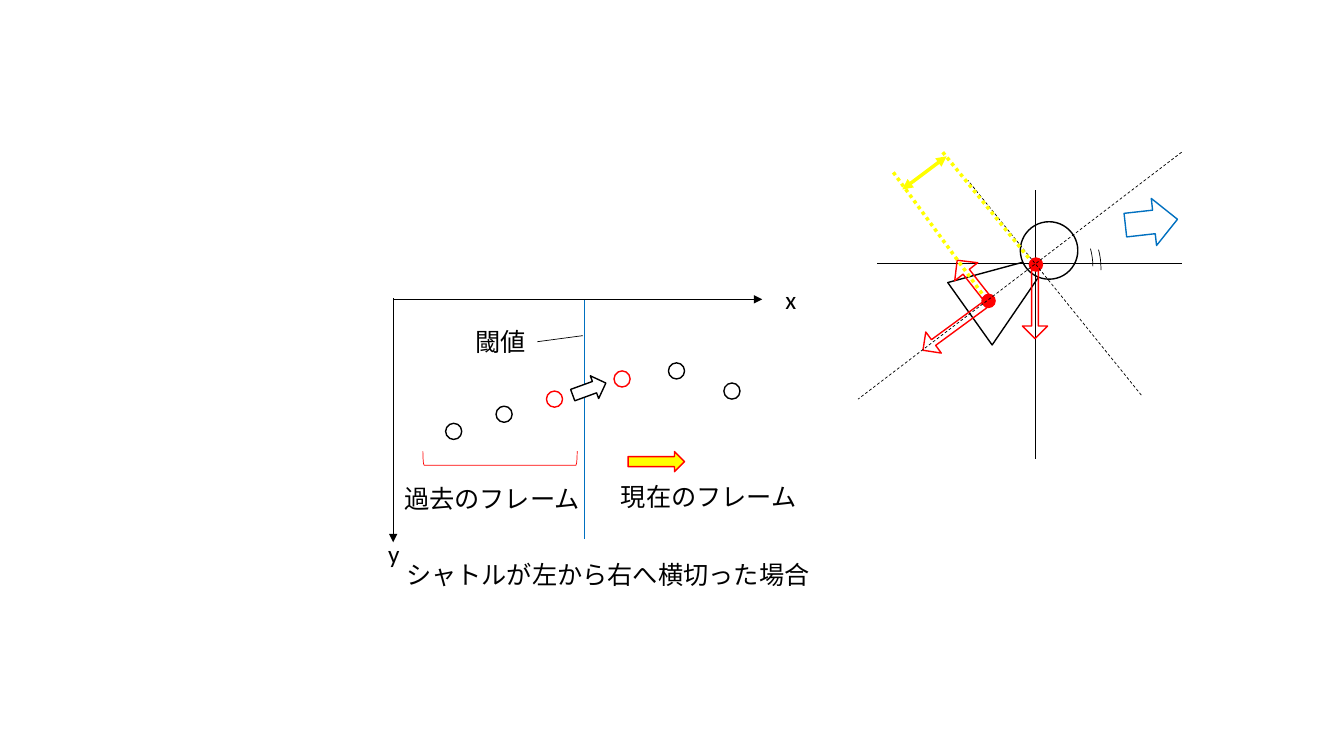
from lxml.etree import SubElement
from pptx import Presentation
from pptx.dml.color import RGBColor
from pptx.enum.dml import MSO_LINE_DASH_STYLE as Dash
from pptx.enum.shapes import MSO_CONNECTOR, MSO_SHAPE as Preset
from pptx.enum.text import MSO_AUTO_SIZE
from pptx.oxml.ns import qn
from pptx.util import Inches, Pt

COLORS = {"black": "000000", "white": "FFFFFF", "red": "FF0000",
          "yellow": "FFFF00", "blue": "0070C0"}
JAPANESE = "Noto Sans CJK JP"
BALL_SIZE = 0.16
JOINT_SIZE = 0.13


def color(name):
    """Return the named colour."""
    return RGBColor.from_string(COLORS[name])


def add_text(shapes, text, left, top, width, font=JAPANESE, size=18, ink="black"):
    """Add a one-line label that grows with its text."""
    box = shapes.add_textbox(Inches(left), Inches(top), Inches(width), Inches(0.4))
    frame = box.text_frame
    frame.word_wrap = False
    frame.auto_size = MSO_AUTO_SIZE.SHAPE_TO_FIT_TEXT
    run = frame.paragraphs[0].add_run()
    run.text = text
    run.font.name = font
    run.font.size = Pt(size)
    run.font.color.rgb = color(ink)
    SubElement(run.font._element, qn("a:ea"), typeface=font)
    return box


def add_figure(shapes, preset, left, top, width, height, line="black", fill=None,
               weight=1, rotation=0, adjustments=()):
    """Add an outlined preset shape, filled when a fill is named."""
    shape = shapes.add_shape(preset, Inches(left), Inches(top), Inches(width), Inches(height))
    shape.shadow.inherit = False
    shape.rotation = rotation
    shape.line.color.rgb = color(line)
    shape.line.width = Pt(weight)
    if fill:
        shape.fill.solid()
        shape.fill.fore_color.rgb = color(fill)
    else:
        shape.fill.background()
    for index, value in enumerate(adjustments):
        shape.adjustments[index] = value
    return shape


def add_line(shapes, start, end, line="black", weight=0.5, dash=None, arrows=()):
    """Add a straight line with optional dash and arrowheads."""
    points = [Inches(value) for value in (*start, *end)]
    connector = shapes.add_connector(MSO_CONNECTOR.STRAIGHT, *points)
    connector.line.color.rgb = color(line)
    connector.line.width = Pt(weight)
    if dash:
        connector.line.dash_style = dash
    for arrow in arrows:
        SubElement(connector.line._get_or_add_ln(), qn(f"a:{arrow}"), type="triangle")
    SubElement(connector._element.spPr, qn("a:effectLst"))
    return connector


def add_arc(shapes, left, top, start, end):
    """Add an angle mark running between two angles in degrees."""
    add_figure(shapes, Preset.ARC, left, top, 0.67, 0.98, weight=0.5,
               adjustments=[angle * 0.6 for angle in (start, end)])


def draw_trajectory(shapes):
    """Draw the shuttle positions crossing the threshold."""
    add_line(shapes, (5.8, 2.97), (5.8, 5.35), "blue")
    add_line(shapes, (3.91, 2.97), (7.56, 2.97), arrows=["tailEnd"])
    add_line(shapes, (3.9, 2.96), (3.9, 5.38), arrows=["tailEnd"])
    add_text(shapes, "x", 7.69, 2.77, 0.31, font="Calibri")
    add_text(shapes, "y", 3.75, 5.29, 0.32, font="Calibri")
    add_figure(shapes, Preset.RIGHT_ARROW, 5.67, 3.74, 0.35, 0.24, fill="white", rotation=340)
    for left, top, line in [(4.42, 4.2, "black"), (4.92, 4.03, "black"), (5.42, 3.88, "red"),
                            (6.09, 3.68, "red"), (6.63, 3.6, "black"), (7.18, 3.8, "black")]:
        add_figure(shapes, Preset.OVAL, left, top, BALL_SIZE, BALL_SIZE, line)
    add_text(shapes, "過去のフレーム", 3.91, 4.75, 1.97)
    add_text(shapes, "シャトルが左から右へ横切った場合", 3.93, 5.5, 4.24)
    add_figure(shapes, Preset.RIGHT_ARROW, 6.23, 4.48, 0.56, 0.2, "red", "yellow")
    add_text(shapes, "現在のフレーム", 6.06, 4.73, 1.97)
    threshold_label = add_text(shapes, "閾値", 4.62, 3.19, 0.71)
    leader = add_line(shapes, (5.78, 3.33), (5.33, 3.39))
    leader.end_connect(threshold_label, 3)
    add_figure(shapes, Preset.LEFT_BRACKET, 4.89, 3.78, 0.14, 1.53, "red",
               weight=0.5, rotation=270)


def draw_forces(shapes):
    """Draw the shuttle with its axes, forces and angle marks."""
    add_figure(shapes, Preset.ISOSCELES_TRIANGLE, 9.66, 2.3, 0.76, 1.03,
               fill="white", rotation=54.6)
    add_figure(shapes, Preset.OVAL, 10.12, 2.2, 0.57, 0.57, fill="white")
    add_line(shapes, (8.7, 2.61), (11.72, 2.61))
    add_line(shapes, (10.27, 1.89), (10.27, 4.55))
    add_figure(shapes, Preset.RIGHT_ARROW, 11.16, 1.97, 0.52, 0.47, "blue", rotation=353.6)
    for left, top, width, height, rotation in [(9.91, 2.88, 0.71, 0.25, 90),
                                               (9.08, 3.12, 0.76, 0.26, 143.7),
                                               (9.4, 2.63, 0.49, 0.29, 231.9)]:
        add_figure(shapes, Preset.RIGHT_ARROW, left, top, width, height, "red",
                   rotation=rotation, adjustments=(0.27, 0.5))
    for left, top in [(10.21, 2.56), (9.74, 2.92)]:
        add_figure(shapes, Preset.OVAL, left, top, JOINT_SIZE, JOINT_SIZE, "red", "red")
    for start, end in [((11.72, 1.51), (8.51, 3.96)), ((11.32, 3.92), (9.6, 1.79))]:
        add_line(shapes, start, end, dash=Dash.DASH)
    add_arc(shapes, 10.17, 2.16, 329.54, 358.82)
    add_arc(shapes, 10.25, 2.17, 329.54, 3.36)
    for start, end in [((8.86, 1.71), (9.76, 2.94)), ((9.35, 1.51), (10.22, 2.58))]:
        add_line(shapes, start, end, "yellow", 2.5, Dash.ROUND_DOT)
    add_line(shapes, (9.39, 1.55), (8.95, 1.88), "yellow", 2.5, arrows=["headEnd", "tailEnd"])


def main():
    """Build and save the slide."""
    presentation = Presentation()
    presentation.slide_width = Inches(13.33)
    presentation.slide_height = Inches(7.5)
    slide = presentation.slides.add_slide(presentation.slide_layouts[6])
    draw_trajectory(slide.shapes)
    draw_forces(slide.shapes.add_group_shape().shapes)
    presentation.save("out.pptx")


if __name__ == "__main__":
    main()
